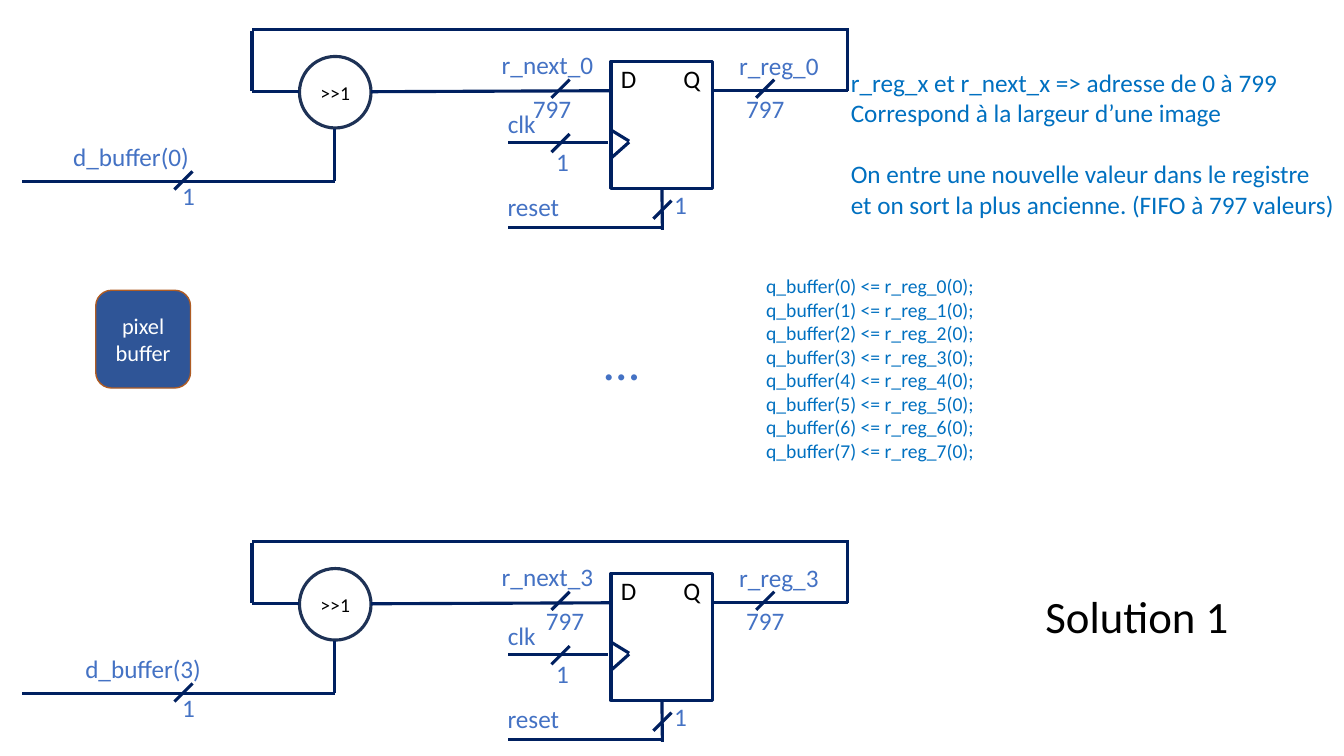
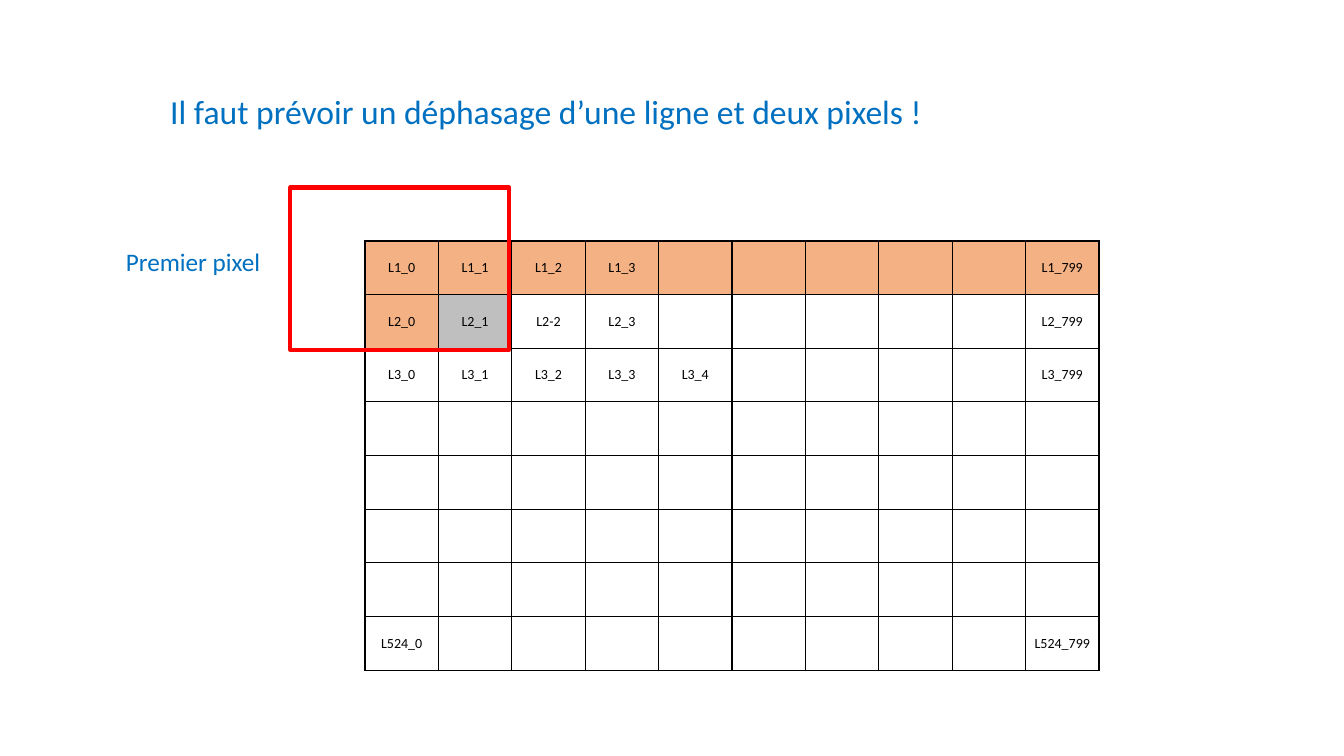
from dataclasses import dataclass

from lxml import etree
from pptx import Presentation
from pptx.dml.color import RGBColor as RGB
from pptx.enum.shapes import MSO_CONNECTOR as Link, MSO_SHAPE as Form
from pptx.enum.text import MSO_ANCHOR as Anchor, MSO_AUTO_SIZE as Auto, PP_ALIGN as Align
from pptx.oxml.ns import qn
from pptx.util import Inches, Pt


@dataclass(frozen=True)
class Theme:
    font: str = "Calibri"
    # Colours
    black: str = "000000"
    white: str = "FFFFFF"
    wire: str = "002060"
    ring: str = "1E3256"
    label: str = "4472C4"
    note: str = "0070C0"
    block: str = "2F5597"
    edge: str = "AF5C24"
    warm: str = "F4B183"
    grey: str = "BFBFBF"
    red: str = "FF0000"
    # Type sizes
    cell: int = 10
    small: int = 14
    mid: int = 16
    body: int = 18
    head: int = 24
    big: int = 32
    dots: int = 36
    # Line widths
    thin: float = 1
    stroke: float = 2.25
    thick: float = 3


T = Theme()


def apply(item, values):
    for name, value in values.items():
        setattr(item, name, value)


class Deck:
    def __init__(self):
        self.prs = Presentation()
        apply(self.prs, {"slide_width": Inches(13.33), "slide_height": Inches(7.5)})
        self.slide = None

    def page(self):
        self.slide = self.prs.slides.add_slide(self.prs.slide_layouts[6])

    def label(self, frame, text, size, color, align=Align.LEFT, gaps=()):
        """Fill a frame, one paragraph per line; gaps lists lines set one row lower."""
        for i, line in enumerate(text.split("\n")):
            para = frame.paragraphs[0] if i == 0 else frame.add_paragraph()
            para.alignment = align
            if i in gaps:
                para.space_before = Pt(size * 1.22)
            run = para.add_run()
            run.text = line
            apply(run.font, {"name": T.font, "size": Pt(size)})
            run.font.color.rgb = RGB.from_string(color)

    def paint(self, fill, color):
        if color:
            fill.solid()
            fill.fore_color.rgb = RGB.from_string(color)
        else:
            fill.background()

    def text(self, x, y, w, h, text, size=T.body, color=T.label,
             align=Align.CENTER, wrap=True, gaps=()):
        box = self.slide.shapes.add_textbox(Inches(x), Inches(y), Inches(w), Inches(h))
        apply(box.text_frame, {"word_wrap": wrap, "auto_size": Auto.SHAPE_TO_FIT_TEXT})
        self.label(box.text_frame, text, size, color, align, gaps)

    def note(self, x, y, w, h, text, size=T.body, color=T.note, gaps=()):
        self.text(x, y, w, h, text, size, color, Align.LEFT, False, gaps)

    def shape(self, form, x, y, w, h, line, width=T.stroke, fill=None,
              text="", size=T.body, color=T.black):
        shape = self.slide.shapes.add_shape(form, Inches(x), Inches(y), Inches(w), Inches(h))
        shape.shadow.inherit = False
        self.paint(shape.fill, fill)
        shape.line.color.rgb = RGB.from_string(line)
        shape.line.width = Pt(width)
        shape.text_frame.vertical_anchor = Anchor.MIDDLE
        if text:
            self.label(shape.text_frame, text, size, color, Align.CENTER)
        return shape

    def wire(self, x1, y1, x2, y2, end=None):
        """Draw a wire; end is an optional (shape, side) to join."""
        wire = self.slide.shapes.add_connector(
            Link.STRAIGHT, Inches(x1), Inches(y1), Inches(x2), Inches(y2))
        wire.line.color.rgb = RGB.from_string(T.wire)
        wire.line.width = Pt(T.stroke)
        etree.SubElement(wire._element.spPr, qn("a:effectLst"))
        if end:
            wire.end_connect(*end)

    def slash(self, x, y):
        """Mark the width of a bus, centred on a point."""
        half = 0.09
        self.wire(x - half, y + half, x + half, y - half)

    def latch(self, x, y, w, h):
        """Draw a flip-flop with its D and Q pins and clock notch."""
        box = self.shape(Form.RECTANGLE, x, y, w, h, T.wire, fill=T.white)
        frame = box.text_frame
        apply(frame, {"vertical_anchor": Anchor.TOP, "margin_top": Inches(0.02)})
        props = frame.paragraphs[0]._p.get_or_add_pPr()
        tabs = etree.SubElement(props, qn("a:tabLst"))
        etree.SubElement(tabs, qn("a:tab"), pos=str(Inches(0.62)), algn="l")
        self.label(frame, "D\tQ", T.body, T.black)
        self.wire(x, y + 0.68, x + 0.18, y + 0.79)
        self.wire(x + 0.18, y + 0.8, x, y + 0.96)
        return box

    def grid(self, x, y, w, h, rows, cols, texts, fills):
        """Draw a bordered table; texts and fills are keyed by (row, column)."""
        frame = self.slide.shapes.add_table(
            rows, cols, Inches(x), Inches(y), Inches(w), Inches(h))
        table = frame.table
        apply(table, {"first_row": False, "horz_banding": False})
        for col in table.columns:
            col.width = Inches(w / cols)
        for row in table.rows:
            row.height = Inches(h / rows)
        for r in range(rows):
            for c in range(cols):
                self.cell(table.cell(r, c), texts.get((r, c)), fills.get((r, c)))

    def cell(self, cell, text, fill):
        props = cell._tc.get_or_add_tcPr()
        for side in ("lnL", "lnR", "lnT", "lnB"):
            line = etree.SubElement(props, qn(f"a:{side}"), w=str(Pt(T.thin)))
            solid = etree.SubElement(line, qn("a:solidFill"))
            etree.SubElement(solid, qn("a:srgbClr"), val=T.black)
        self.paint(cell.fill, fill)
        apply(cell, {"vertical_anchor": Anchor.MIDDLE,
                     "margin_left": Inches(0.08), "margin_right": Inches(0.08),
                     "margin_top": Inches(0.04), "margin_bottom": Inches(0.04)})
        if text:
            self.label(cell.text_frame, text, T.cell, T.black, Align.CENTER)


def stage(deck, top, index, bus_x, data_x):
    """Draw one shift register, top being the height of its feedback wire."""
    box = deck.latch(6.06, top + 0.32, 1.01, 1.26)
    deck.shape(Form.OVAL, 2.97, top + 0.27, 0.71, 0.71, T.ring,
               text=">>1", size=T.small)

    # Feedback loop, data input, clock and reset
    flow = top + 0.62
    for ends in (
        (3.68, flow, 6.06, flow - 0.01),
        (7.07, flow - 0.01, 8.41, flow - 0.01),
        (8.41, flow - 0.01, 8.41, top + 0.02),
        (8.42, top, 2.5, top),
        (2.5, top + 0.02, 2.5, flow - 0.01),
        (2.5, flow, 2.97, flow),
        (0.22, top + 1.51, 3.32, top + 1.51),
        (3.32, top + 1.51, 3.32, top + 0.99),
        (5.04, top + 1.12, 6.03, top + 1.12),
        (5.04, top + 1.97, 6.57, top + 1.97),
    ):
        deck.wire(*ends)
    deck.wire(6.57, top + 1.99, 6.57, top + 1.58, (box, 2))

    # Bus marks
    for x, y in ((5.56, 0.59), (7.59, 0.59), (5.56, 1.13), (6.57, 1.79), (1.82, 1.5)):
        deck.slash(x, top + y)

    # Signal names and widths
    for x, y, w, text in (
        (4.83, 0.15, 1.2, f"r_next_{index}"),
        (7.04, 0.16, 1.37, f"r_reg_{index}"),
        (bus_x, 0.59, 0.65, "797"),
        (7.29, 0.59, 0.6, "797"),
        (4.84, 0.74, 0.67, "clk"),
        (5.34, 1.11, 0.48, "1"),
        (4.79, 1.56, 1, "reset"),
        (6.51, 1.54, 0.48, "1"),
        (data_x, 1.06, 1.5, f"d_buffer({index})"),
        (1.63, 1.45, 0.48, "1"),
    ):
        deck.text(x, top + y, w, 0.4, text)


def buffers(deck):
    deck.page()
    stage(deck, 0.29, 0, 5.15, 0.55)
    stage(deck, 5.37, 3, 5.28, 0.67)
    deck.text(5.48, 3.23, 1.37, 0.71, "…", T.dots)
    deck.shape(Form.ROUNDED_RECTANGLE, 0.95, 2.88, 0.94, 0.97, T.edge, T.thin,
               T.block, "pixel\nbuffer", T.mid, T.white)

    # Notes
    deck.note(7.5, 2.67, 2.29, 1.99,
              "\n".join(f"q_buffer({i}) <= r_reg_{i}(0);" for i in range(8)), T.small)
    deck.note(8.34, 0.62, 5.05, 1.62,
              "r_reg_x et r_next_x => adresse de 0 à 799\n"
              "Correspond à la largeur d’une image\n"
              "On entre une nouvelle valeur dans le registre\n"
              "et on sort la plus ancienne. (FIFO à 797 valeurs)", gaps=(2,))
    deck.note(10.27, 5.79, 2.04, 0.64, "Solution 1", T.big, T.black)


def pixels(deck):
    deck.page()
    rows, cols = 8, 10
    lines = {0: "L1_0 L1_1 L1_2 L1_3", 1: "L2_0 L2_1 L2-2 L2_3",
             2: "L3_0 L3_1 L3_2 L3_3 L3_4", 7: "L524_0"}
    texts = {}
    for r, line in lines.items():
        names = line.split()
        texts.update({(r, c): name for c, name in enumerate(names)})
        texts[r, cols - 1] = names[0].replace("_0", "_799")
    fills = {(0, c): T.warm for c in range(cols)}
    fills.update({(1, 0): T.warm, (1, 1): T.grey})
    deck.grid(3.62, 2.39, 7.28, 4.26, rows, cols, texts, fills)

    # Window and notes
    deck.shape(Form.RECTANGLE, 2.88, 1.86, 2.17, 1.61, T.red, T.thick)
    deck.note(1.15, 2.39, 1.61, 0.4, "Premier pixel")
    deck.note(1.59, 0.85, 7.73, 0.5,
              "Il faut prévoir un déphasage d’une ligne et deux pixels !", T.head)


def main():
    deck = Deck()
    buffers(deck)
    pixels(deck)
    deck.prs.save("out.pptx")


if __name__ == "__main__":
    main()
